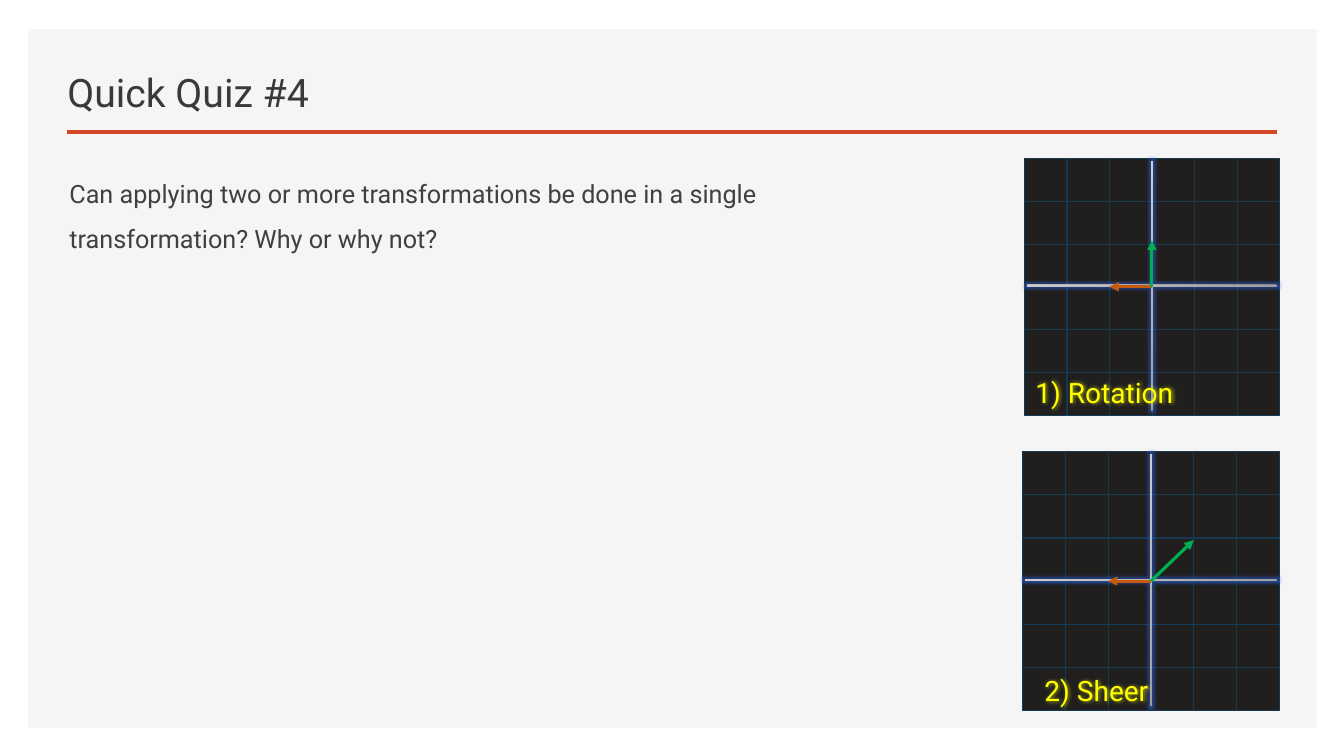
from lxml import etree
from pptx import Presentation
from pptx.dml.color import RGBColor
from pptx.enum.shapes import MSO_CONNECTOR, MSO_SHAPE
from pptx.enum.text import MSO_ANCHOR
from pptx.oxml.ns import qn
from pptx.util import Inches, Pt

RECT, CROSS = MSO_SHAPE.RECTANGLE, MSO_SHAPE.CROSS
STRAIGHT = MSO_CONNECTOR.STRAIGHT
TOP, BOTTOM = MSO_ANCHOR.TOP, MSO_ANCHOR.BOTTOM

FONT = "Roboto"
ORANGE, GREEN, YELLOW = "C55A11", "00B050", "FFFF00"
CELLS = 6          # cells along each side of a plot
CENTRE = CELLS / 2
AXIS_MARGIN = 0.03


def rgb(code):
    return RGBColor.from_string(code)


def add_effect(shape, tag=None, color=None, opacity=100, **lengths):
    """Give the shape one effect, or an empty effect list; lengths are in points."""
    effects = etree.SubElement(shape._element.spPr, qn("a:effectLst"))
    if tag:
        el = etree.SubElement(effects, qn(tag))
        for name, value in lengths.items():
            el.set(name, str(Pt(value)))
        clr = etree.SubElement(el, qn("a:srgbClr"), val=color)
        etree.SubElement(clr, qn("a:alpha"), val=str(opacity * 1000))


def add_rect(shapes, x, y, w, h, fill, line=None):
    sp = shapes.add_shape(RECT, Inches(x), Inches(y), Inches(w), Inches(h))
    sp.shadow.inherit = False
    sp.fill.solid()
    sp.fill.fore_color.rgb = rgb(fill)
    if line:
        sp.line.color.rgb = rgb(line)
        sp.line.width = Pt(0.5)
    else:
        sp.line.fill.background()


def add_line(shapes, x1, y1, x2, y2, color, arrow=False):
    cx = shapes.add_connector(STRAIGHT, Inches(x1), Inches(y1), Inches(x2), Inches(y2))
    cx.line.color.rgb = rgb(color)
    cx.line.width = Pt(2.25)
    if arrow:
        ln = cx._element.spPr.find(qn("a:ln"))
        etree.SubElement(ln, qn("a:tailEnd"), type="triangle")
    add_effect(cx)


def add_text(s, x, y, w, h, text, size, color, frame=None, para=None):
    box = s.shapes.add_textbox(Inches(x), Inches(y), Inches(w), Inches(h))
    tf = box.text_frame
    p = tf.paragraphs[0]
    for target, values in ((tf, {"word_wrap": True, **(frame or {})}), (p, para or {})):
        for name, value in values.items():
            setattr(target, name, value)
    r = p.add_run()
    r.text = text
    r.font.name = FONT
    r.font.size = Pt(size)
    r.font.color.rgb = rgb(color)
    return box


def add_axes(shapes, x, y, size):
    sp = shapes.add_shape(CROSS, Inches(x), Inches(y), Inches(size), Inches(size))
    sp.adjustments[0] = 0.497
    sp.line.fill.background()
    sp.fill.gradient()
    sp.fill.gradient_angle = 135
    for position, (stop, code) in enumerate(zip(sp.fill.gradient_stops, ("898888", "E7E6E6"))):
        stop.color.rgb = rgb(code)
        stop.position = position
    add_effect(sp, "a:glow", "2F6BFF", 40, rad=4)


def add_plot(s, x, y, w, h, vectors):
    """Draw a dark grid with axes and vectors given in cells from the centre."""
    shapes = s.shapes.add_group_shape().shapes
    cw, ch = w / CELLS, h / CELLS
    for col in range(CELLS):
        for row in range(CELLS):
            add_rect(shapes, x + col * cw, y + row * ch, cw, ch, "201F1E", "133B57")
    add_axes(shapes, x + AXIS_MARGIN, y + AXIS_MARGIN, w - 2 * AXIS_MARGIN)
    ox, oy = x + CENTRE * cw, y + CENTRE * ch
    for dx, dy, color in vectors:
        add_line(shapes, ox, oy, ox + dx * cw, oy - dy * ch, color, arrow=True)


def add_label(s, x, y, text):
    no_margins = dict.fromkeys(
        ("margin_left", "margin_top", "margin_right", "margin_bottom"), 0)
    box = add_text(s, x, y, 1.8, 0.35, text, 20, YELLOW,
                   {**no_margins, "vertical_anchor": TOP})
    add_effect(box, "a:outerShdw", YELLOW, 60, blurRad=3, dist=1)


def main():
    prs = Presentation()
    prs.slide_width, prs.slide_height = Inches(13.33), Inches(7.5)
    s = prs.slides.add_slide(prs.slide_layouts[6])

    add_rect(s.shapes, 0.28, 0.29, 12.78, 6.93, "F5F5F5")
    add_line(s.shapes, 0.66, 1.31, 12.67, 1.31, "D24726")
    add_text(s, 0.57, 0.49, 7.52, 0.7, "Quick Quiz #4", 28, "3B3838",
             {"vertical_anchor": BOTTOM})
    add_text(s, 0.59, 1.57, 8.24, 4.35,
             "Can applying two or more transformations be done in a single "
             "transformation? Why or why not?", 18, "404040",
             {"vertical_anchor": TOP},
             {"line_spacing": 1.5, "space_after": Pt(12)})

    add_plot(s, 10.14, 4.48, 2.55, 2.57, [(-1, 0, ORANGE), (1, 0.95, GREEN)])
    add_plot(s, 10.16, 1.57, 2.53, 2.55, [(-1, 0, ORANGE), (0, 1.08, GREEN)])
    add_label(s, 10.27, 3.72, "1) Rotation")
    add_label(s, 10.36, 6.68, "2) Sheer")
    prs.save("out.pptx")


if __name__ == "__main__":
    main()
